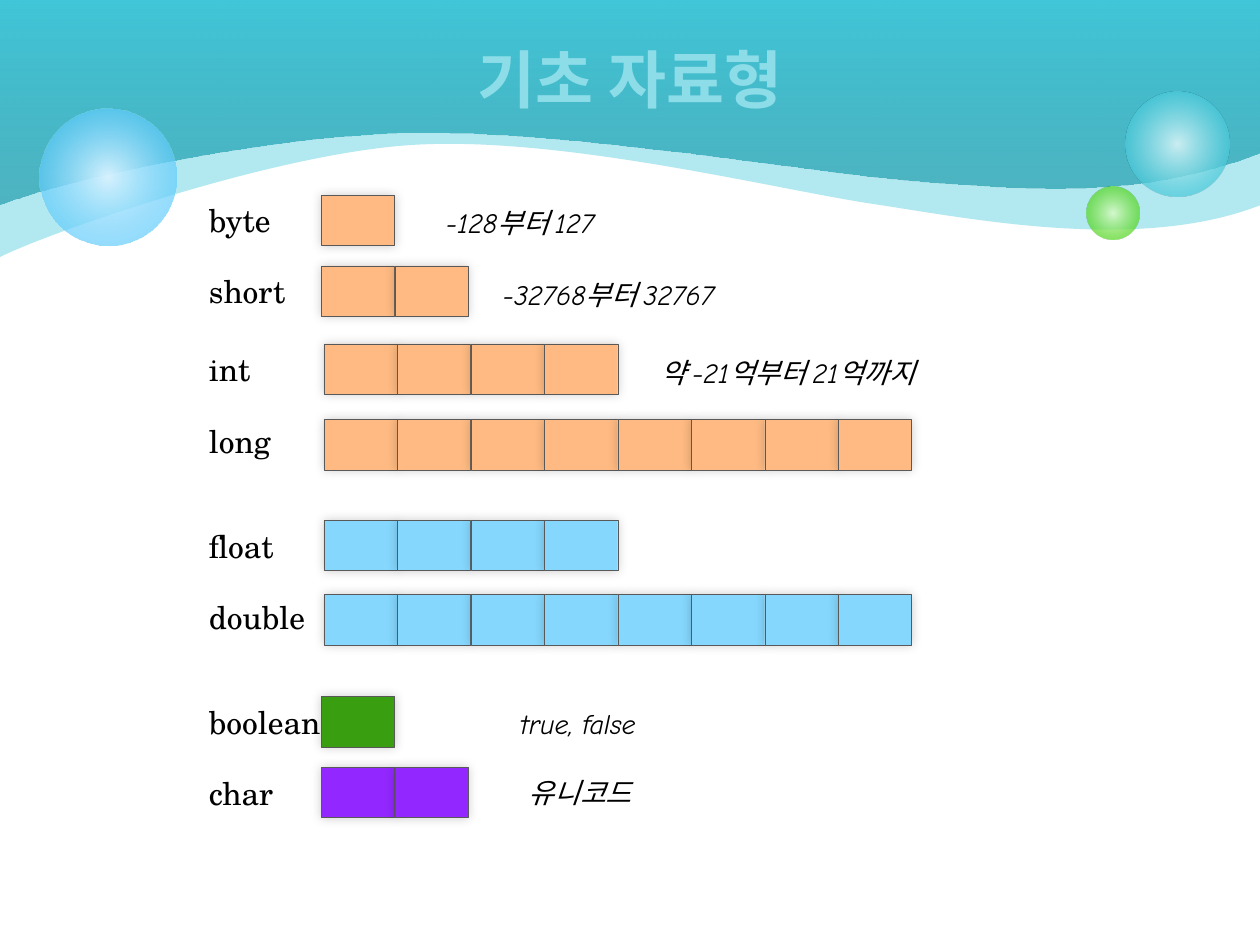
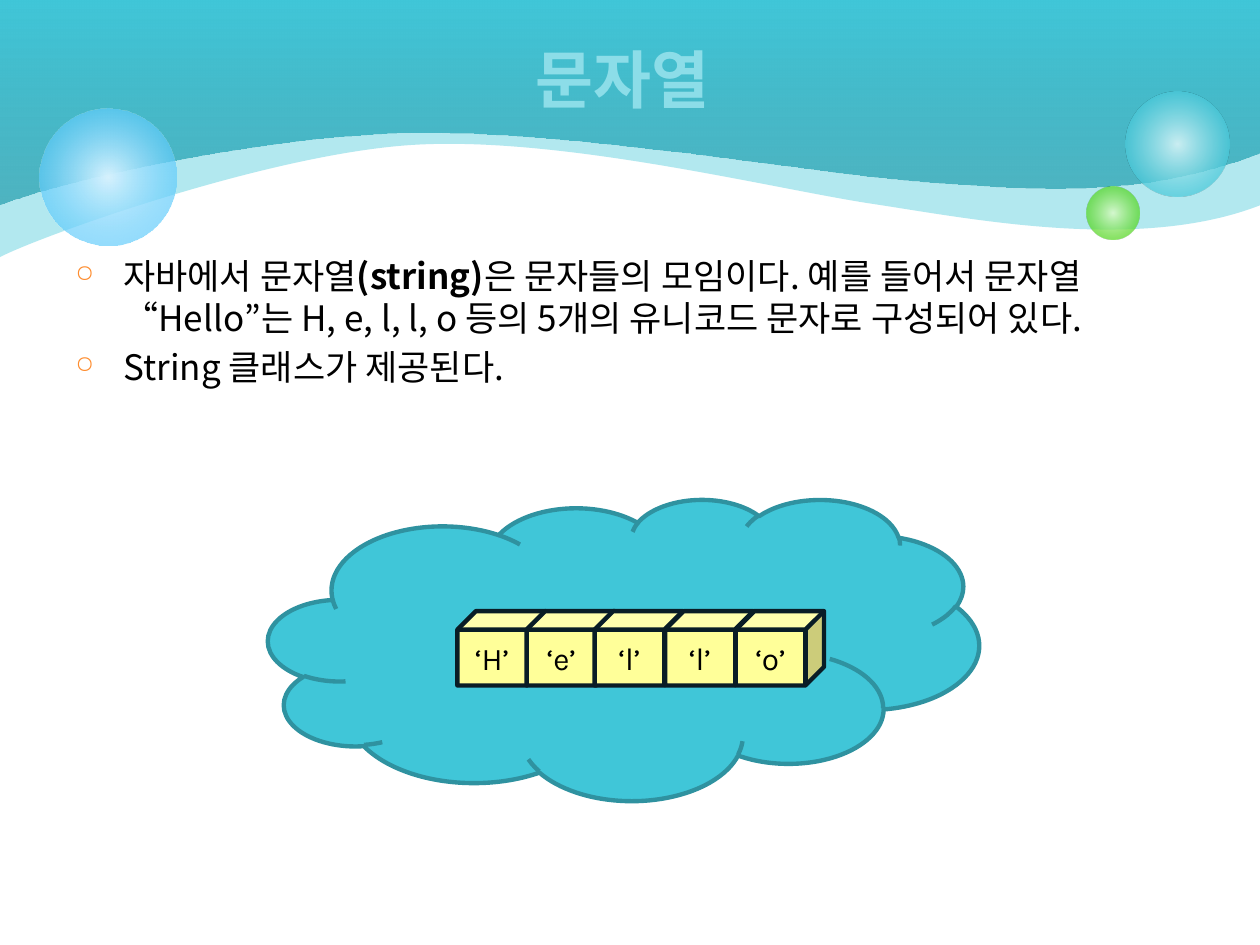
from typing import NamedTuple

from lxml import etree
from pptx import Presentation
from pptx.dml.color import RGBColor
from pptx.enum.shapes import MSO_SHAPE
from pptx.enum.text import MSO_ANCHOR, MSO_AUTO_SIZE, PP_ALIGN
from pptx.oxml.ns import qn
from pptx.util import Inches, Pt

RECTANGLE, ELLIPSE = MSO_SHAPE.RECTANGLE, MSO_SHAPE.OVAL
CLOUD, CUBE = MSO_SHAPE.CLOUD, MSO_SHAPE.CUBE
MIDDLE = MSO_ANCHOR.MIDDLE
CENTER = PP_ALIGN.CENTER
FIT_SHAPE = MSO_AUTO_SIZE.SHAPE_TO_FIT_TEXT

KOREAN, SERIF = "Noto Sans CJK KR", "TeX Gyre Schola"
HANDWRITING, LETTER_FONT = "Comic Neue", "Karla"
BLACK, TEAL, PALE_TEAL = "000000", "40C6D8", "D9F4F7"
TITLE_COLOR, BULLET_COLOR = "8CDDE8", "FE8C2E"
ORANGE, BLUE, GREEN, PURPLE = "FEBA82", "85D7FD", "399F10", "9327FF"

BYTE_WIDTH, BYTE_HEIGHT = 7 / 12, 0.4
LABEL_LEFT = 1.56
CUBE_LEFTS = [3.63, 4.18, 4.72, 5.28, 5.84]
WAVE_RIGHT = 10.01


class Stop(NamedTuple):
    position: int
    color: str
    opacity: int = 100


class Bubble(NamedTuple):
    left: float
    top: float
    size: float
    stops: list[Stop]


class Wave(NamedTuple):
    """Cubic curves from the top left corner, each two handles and an end."""
    curves: list[tuple[float, ...]]
    stops: list[Stop]


class Note(NamedTuple):
    text: str
    left: float
    top: float
    width: float


class DataType(NamedTuple):
    name: str
    size: int
    color: str
    left: float
    top: float
    label_top: float
    label_width: float
    note: Note | None = None


BACK_WAVE = Wave([
    (0, 0.54, 0, 1.5, 0, 2.04),
    (0.33, 1.87, 2.14, 1.22, 3.28, 1.15),
    (4.43, 1.08, 6.06, 1.48, 6.87, 1.61),
    (7.68, 1.73, 9.02, 2.01, 10, 1.63),
], [Stop(0, TEAL, 40)])
FRONT_WAVE = Wave([
    (0, 0.54, 0, 1.08, 0, 1.62),
    (0.45, 1.44, 2.03, 1.08, 3.26, 1.05),
    (4.49, 1.02, 6.58, 1.39, 7.37, 1.44),
    (8.16, 1.49, 9.02, 1.59, 10, 1.21),
], [Stop(0, "249EAE", 69), Stop(100, TEAL)])
BUBBLES = [
    Bubble(8.93, 0.73, 0.83, [Stop(0, PALE_TEAL, 90), Stop(76, TEAL, 70)]),
    Bubble(8.62, 1.48, 0.42, [Stop(0, "DAFACD", 90), Stop(76, "4CD416", 70)]),
    Bubble(0.31, 0.86, 1.09, [Stop(0, "D6F2FE"), Stop(100, "33BDFB", 54)]),
]
DATA_TYPES = [
    DataType("byte", 1, ORANGE, 2.55, 1.55, 1.55, 0.7,
             Note("-128부터 127", 3.44, 1.58, 1.56)),
    DataType("short", 2, ORANGE, 2.55, 2.11, 2.11, 0.81,
             Note("-32768부터 32767", 3.89, 2.15, 2.18)),
    DataType("int", 4, ORANGE, 2.57, 2.73, 2.73, 0.53,
             Note("약 -21억부터 21억까지", 5.14, 2.77, 2.48)),
    DataType("long", 8, ORANGE, 2.57, 3.33, 3.3, 0.7),
    DataType("float", 4, BLUE, 2.57, 4.13, 4.13, 0.73),
    DataType("double", 8, BLUE, 2.57, 4.72, 4.7, 0.97),
    DataType("boolean", 1, GREEN, 2.55, 5.53, 5.53, 1.09,
             Note("true, false", 4.03, 5.56, 1.31)),
    DataType("char", 2, PURPLE, 2.55, 6.09, 6.09, 0.73,
             Note("유니코드", 4.1, 6.11, 1.17)),
]
STRING_FACTS = [
    [("자바에서 문자열", False), ("(string)", True),
     ("은 문자들의 모임이다. 예를 들어서 문자열 “Hello”는 H, e, l, l, o 등의 "
      "5개의 유니코드 문자로 구성되어 있다.", False)],
    [("String 클래스가 제공된다.", False)],
]


def rgb(color: str) -> RGBColor:
    return RGBColor.from_string(color)


def add_child(parent, tag: str, **attributes):
    return etree.SubElement(parent, qn(tag), {k: str(v) for k, v in attributes.items()})


def add_color(parent, color: str, opacity: int = 100) -> None:
    node = add_child(parent, "a:srgbClr", val=color)
    if opacity < 100:
        add_child(node, "a:alpha", val=opacity * 1000)


def paint(shape, color: str, line: str | None = None, line_width: float = 0) -> None:
    shape.shadow.inherit = False
    shape.fill.solid()
    shape.fill.fore_color.rgb = rgb(color)
    if line:
        shape.line.color.rgb = rgb(line)
        shape.line.width = Pt(line_width)
    else:
        shape.line.fill.background()


def paint_stops(shape, stops: list[Stop], angle: int | None = None) -> None:
    """Fill with one clear colour, along an angle, or outward from the centre."""
    paint(shape, stops[0].color)
    solid = shape.element.spPr.find(qn("a:solidFill"))
    if len(stops) == 1:
        solid.clear()
        add_color(solid, stops[0].color, stops[0].opacity)
        return
    gradient = etree.Element(qn("a:gradFill"), rotWithShape="1")
    stop_list = add_child(gradient, "a:gsLst")
    for stop in stops:
        node = add_child(stop_list, "a:gs", pos=stop.position * 1000)
        add_color(node, stop.color, stop.opacity)
    if angle is None:
        circle = add_child(gradient, "a:path", path="circle")
        add_child(circle, "a:fillToRect", l=50000, t=50000, r=50000, b=50000)
    else:
        add_child(gradient, "a:lin", ang=angle * 60000, scaled=0)
    solid.getparent().replace(solid, gradient)


def add_soft_shadow(shape) -> None:
    effects = shape.element.spPr.find(qn("a:effectLst"))
    shadow = add_child(effects, "a:outerShdw", blurRad=Pt(6), dist=0, dir=315 * 60000)
    add_color(shadow, BLACK, 20)


def style_run(span, font: str, size: float, color: str = BLACK,
              bold: bool = False, italic: bool = False) -> None:
    span.font.name = font
    span.font.size = Pt(size)
    span.font.color.rgb = rgb(color)
    span.font.bold = bold
    span.font.italic = italic


def add_shape(page, kind, left: float, top: float, width: float, height: float):
    return page.shapes.add_shape(kind, Inches(left), Inches(top),
                                 Inches(width), Inches(height))


def add_box(page, left: float, top: float, width: float, height: float):
    box = page.shapes.add_textbox(Inches(left), Inches(top),
                                  Inches(width), Inches(height))
    box.text_frame.word_wrap = True
    return box


def add_line_of_text(page, text: str, left: float, top: float, width: float,
                     height: float, font: str, size: float, italic: bool = False) -> None:
    frame = add_box(page, left, top, width, height).text_frame
    frame.word_wrap = False
    frame.auto_size = FIT_SHAPE
    frame.text = text
    style_run(frame.paragraphs[0].runs[0], font, size, italic=italic)


def add_wave(page, wave: Wave):
    """Draw straight segments, then bend those that follow the curves."""
    outline = page.shapes.build_freeform(0, 0)
    corners = [curve[4:] for curve in wave.curves] + [(WAVE_RIGHT, 0), (0, 0)]
    outline.add_line_segments([(Inches(x), Inches(y)) for x, y in corners], close=True)
    shape = outline.convert_to_shape()
    segments = list(shape.element.iter(qn("a:lnTo")))
    for segment, curve in zip(segments, wave.curves):
        bend = etree.Element(qn("a:cubicBezTo"))
        for x, y in zip(curve[::2], curve[1::2]):
            add_child(bend, "a:pt", x=Inches(x), y=Inches(y))
        segment.getparent().replace(segment, bend)
    paint_stops(shape, wave.stops, angle=270)
    return shape


def add_backdrop(page) -> None:
    """Draw the waves and bubbles, and hand them to the layout that pages share."""
    parts = [add_wave(page, wave) for wave in (BACK_WAVE, FRONT_WAVE)]
    for bubble in BUBBLES:
        circle = add_shape(page, ELLIPSE, bubble.left, bubble.top, bubble.size, bubble.size)
        paint_stops(circle, bubble.stops)
        parts.append(circle)
    layout_tree = page.slide_layout.shapes.element
    for part in parts:
        layout_tree.append(part.element)


def add_page(deck, title: str):
    page = deck.slides.add_slide(deck.slide_layouts[6])
    if len(deck.slides) == 1:
        add_backdrop(page)
    frame = add_box(page, 0.5, 0, 9, 1.25).text_frame
    frame.vertical_anchor = MIDDLE
    frame.text = title
    para = frame.paragraphs[0]
    para.alignment = CENTER
    style_run(para.runs[0], KOREAN, 36, TITLE_COLOR, bold=True)
    return page


def add_data_type(page, kind: DataType) -> None:
    for index in range(kind.size):
        cell = add_shape(page, RECTANGLE, kind.left + index * BYTE_WIDTH, kind.top,
                         BYTE_WIDTH, BYTE_HEIGHT)
        paint(cell, kind.color, "595959", 0.25)
        add_soft_shadow(cell)
    add_line_of_text(page, kind.name, LABEL_LEFT, kind.label_top, kind.label_width,
                     0.4, SERIF, 18)
    if kind.note:
        note = kind.note
        add_line_of_text(page, note.text, note.left, note.top, note.width,
                         0.37, HANDWRITING, 16, italic=True)


def add_bullets(page, items: list[list[tuple[str, bool]]]) -> None:
    frame = add_box(page, 0.5, 1.97, 9, 4.95).text_frame
    for index, item in enumerate(items):
        para = frame.add_paragraph() if index else frame.paragraphs[0]
        para.space_before = Pt(4)
        properties = para._p.get_or_add_pPr()
        properties.set("marL", str(Inches(0.38)))
        properties.set("indent", str(-Inches(0.38)))
        add_color(add_child(properties, "a:buClr"), BULLET_COLOR)
        add_child(properties, "a:buSzPct", val=68000)
        add_child(properties, "a:buChar", char="○")
        for text, bold in item:
            span = para.add_run()
            span.text = text
            style_run(span, KOREAN, 20, bold=bold)


def add_letter_cube(page, letter: str, left: float) -> None:
    cube = add_shape(page, CUBE, left, 4.85, 0.7, 0.59)
    paint(cube, "FFFF99", "091D26", 2.5)
    frame = cube.text_frame
    frame.word_wrap = False
    frame.vertical_anchor = MIDDLE
    frame.text = f"‘{letter}’"
    para = frame.paragraphs[0]
    para.alignment = CENTER
    style_run(para.runs[0], LETTER_FONT, 18)


def build_data_types(deck) -> None:
    page = add_page(deck, "기초 자료형")
    for kind in DATA_TYPES:
        add_data_type(page, kind)


def build_strings(deck) -> None:
    page = add_page(deck, "문자열 ")
    add_bullets(page, STRING_FACTS)
    paint(add_shape(page, CLOUD, 2.13, 3.96, 5.64, 2.39), TEAL, "2F92A0", 2.5)
    for letter, left in zip("Hello", CUBE_LEFTS):
        add_letter_cube(page, letter, left)


def main() -> None:
    deck = Presentation()
    deck.slide_width, deck.slide_height = Inches(10), Inches(7.5)
    build_data_types(deck)
    build_strings(deck)
    deck.save("out.pptx")


if __name__ == "__main__":
    main()
